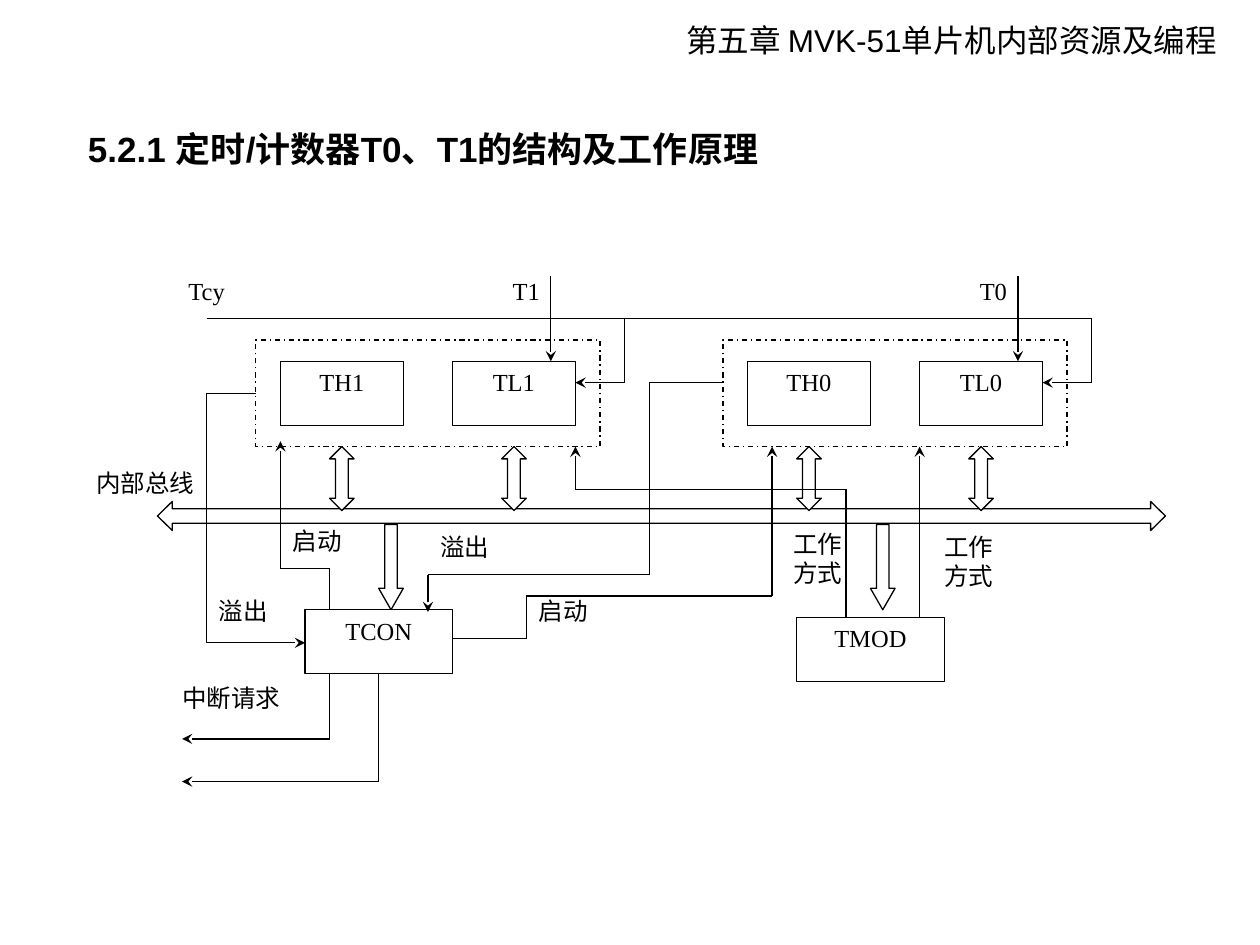
"""Build the timer/counter T0 and T1 structure slide."""
from itertools import pairwise

from lxml import etree
from pptx import Presentation
from pptx import util as u
from pptx.dml.color import RGBColor
from pptx.enum import dml, shapes, text
from pptx.oxml.ns import qn

BLACK = RGBColor(0, 0, 0)
WHITE = RGBColor(255, 255, 255)
LEFT, TOP = 1.25, 2.19
COLUMN, ROW = 8 / 41, 2.54 / 15
KIND = shapes.MSO_SHAPE
UNIT_STEP = 19

LABELS = [
    ("Tcy", 1, 0, 2, 2),
    ("启动", 5, 11.7, 3, 2),
    ("启动", 15, 15, 3, 2),
    ("溢出", 2, 15, 3, 2),
    ("溢出", 11, 12, 3, 2),
    ("工作方式", 25.85, 11.85, 2, 4),
    ("工作方式", 32, 12, 2, 4),
    ("中断请求", 1, 19.1, 4, 2),
    ("内部总线", -3, 9, 5, 2),
]
ARROW_WIRES = [
    [(7, 15.6), (7, 13.7), (5, 13.7), (5, 7.75)],
    [(23, 5), (20, 5), (20, 14), (11, 14), (11, 15.75)],
    [(12, 17), (15, 17), (15, 15), (25, 15), (25, 8)],
    [(28, 16), (28, 10), (17, 10), (17, 8)],
    [(31, 16), (31, 8)],
    [(7, 18.65), (7, 21.7), (1, 21.7)],
    [(9, 18.65), (9, 23.7), (1, 23.7)],
]


def place(column, row):
    """Return the slide position of a grid point."""
    return u.Inches(LEFT + column * COLUMN), u.Inches(TOP + row * ROW)


def area(column, row, columns, rows):
    """Return left, top, width and height of a grid area."""
    return *place(column, row), u.Inches(columns * COLUMN), u.Inches(rows * ROW)


def write(shape, words, size=14, font="Times New Roman", bold=False,
          align=text.PP_ALIGN.CENTER, inset=(0, 0), wrap=True):
    """Put one formatted paragraph into a shape."""
    frame = shape.text_frame
    frame.word_wrap = wrap
    frame.vertical_anchor = text.MSO_ANCHOR.TOP
    frame.margin_left = frame.margin_right = u.Inches(inset[0])
    frame.margin_top = frame.margin_bottom = u.Inches(inset[1])
    para = frame.paragraphs[0]
    para.alignment = align
    span = para.add_run()
    span.text = words
    span.font.size = u.Pt(size)
    span.font.name = font
    span.font.bold = bold
    span.font.color.rgb = BLACK


def heading(page, words, left, top, width, **style):
    """Add an unwrapped heading placed by shares of the slide size."""
    box = page.shapes.add_textbox(
        u.Inches(10 * left), u.Inches(7.5 * top), u.Inches(10 * width), u.Inches(0.4))
    write(box, words, font="Arial", align=text.PP_ALIGN.LEFT,
          inset=(0.1, 0.05), wrap=False, **style)


def label(page, words, *cells):
    """Add a centred caption on the grid."""
    write(page.shapes.add_textbox(*area(*cells)), words)


def outline(page, kind, *cells, head=None, filled=True):
    """Add a thinly outlined preset shape on the grid."""
    shape = page.shapes.add_shape(kind, *area(*cells))
    shape.shadow.inherit = False
    if filled:
        shape.fill.solid()
        shape.fill.fore_color.rgb = WHITE
    else:
        shape.fill.background()
    shape.line.color.rgb = BLACK
    shape.line.width = u.Pt(0.75)
    if head:
        shape.adjustments[1] = head
    return shape


def register(page, words, column, row, columns):
    """Add a named register box."""
    write(outline(page, KIND.RECTANGLE, column, row, columns, 3), words,
          inset=(0.1, 0.05))


def connect(page, start, end, arrow=False, kind=shapes.MSO_CONNECTOR.STRAIGHT):
    """Join two grid points, with an optional arrowhead at the end."""
    line = page.shapes.add_connector(kind, *place(*start), *place(*end))
    line.line.color.rgb = BLACK
    line.line.width = u.Pt(0.75)
    if arrow:
        etree.SubElement(line.line._get_or_add_ln(), qn("a:tailEnd"), type="stealth")
    etree.SubElement(line._element.spPr, qn("a:effectLst"))
    return line


def wire(page, points, arrow=True):
    """Draw a path of straight lines through grid points."""
    segments = list(pairwise(points))
    for number, (start, end) in enumerate(segments, 1):
        connect(page, start, end, arrow and number == len(segments))


def overflow_loop(page):
    """Draw the elbow from timer 1 round to TCON."""
    line = connect(page, (4, 5.5), (6, 17.2), True, shapes.MSO_CONNECTOR.ELBOW)
    guides = line._element.spPr.find(qn("a:prstGeom")).get_or_add_avLst()
    etree.SubElement(guides, qn("a:gd"), name="adj1", fmla="val -100000")


def timer(page, number, shift):
    """Draw one timer with its two registers, inputs and bus arrows."""
    for name, column in (("TH", 5), ("TL", 12)):
        register(page, f"{name}{number}", column + shift, 4, 5)
        outline(page, KIND.UP_DOWN_ARROW, column + 2 + shift, 8, 1, 3, head=0.52)
    frame = outline(page, KIND.RECTANGLE, 4 + shift, 3, 14, 5, filled=False)
    frame.line.dash_style = dml.MSO_LINE.DASH_DOT
    label(page, f"T{number}", 14 + shift, 0, 2, 2)
    wire(page, [(16 + shift, 0), (16 + shift, 4)])
    wire(page, [(19 + shift, 2), (19 + shift, 5), (17 + shift, 5)])


def main():
    """Build and save the deck."""
    deck = Presentation()
    deck.slide_width, deck.slide_height = u.Inches(10), u.Inches(7.5)
    page = deck.slides.add_slide(deck.slide_layouts[6])
    heading(page, "第五章 MVK-51单片机内部资源及编程", 0.535, 0.016, 0.46, size=18)
    heading(page, "5.2.1 定时/计数器T0、T1的结构及工作原理", 0.06, 0.128, 0.6,
            size=20, bold=True)
    outline(page, KIND.LEFT_RIGHT_ARROW, 0, 10.57, 41, 1.36, head=0.51)
    for column in (9, 29):
        outline(page, KIND.DOWN_ARROW, column, 11.65, 1, 4, head=0.87)
    wire(page, [(2, 2), (38, 2)], arrow=False)
    for number, shift in ((1, 0), (0, UNIT_STEP)):
        timer(page, number, shift)
    register(page, "TCON", 6, 15.65, 6)
    register(page, "TMOD", 26, 16, 6)
    overflow_loop(page)
    for points in ARROW_WIRES:
        wire(page, points)
    for caption in LABELS:
        label(page, *caption)
    deck.save("out.pptx")


if __name__ == "__main__":
    main()
